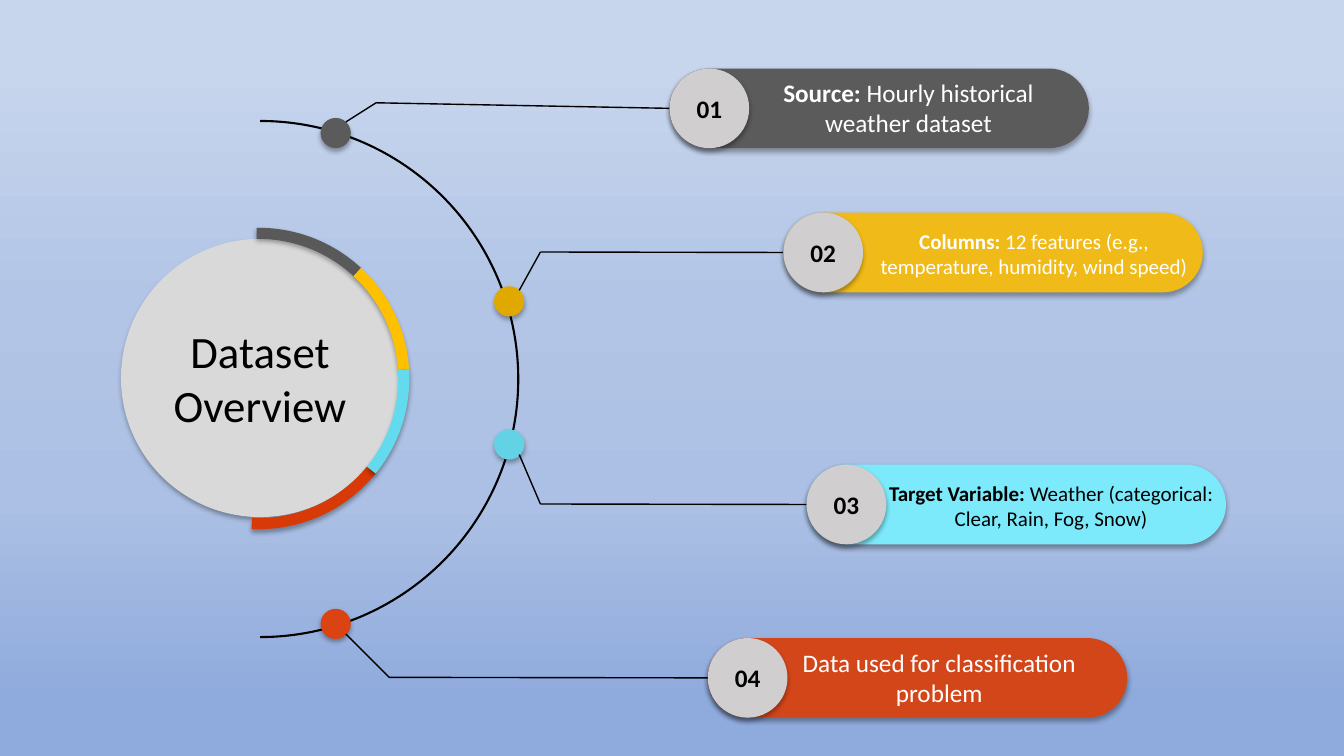
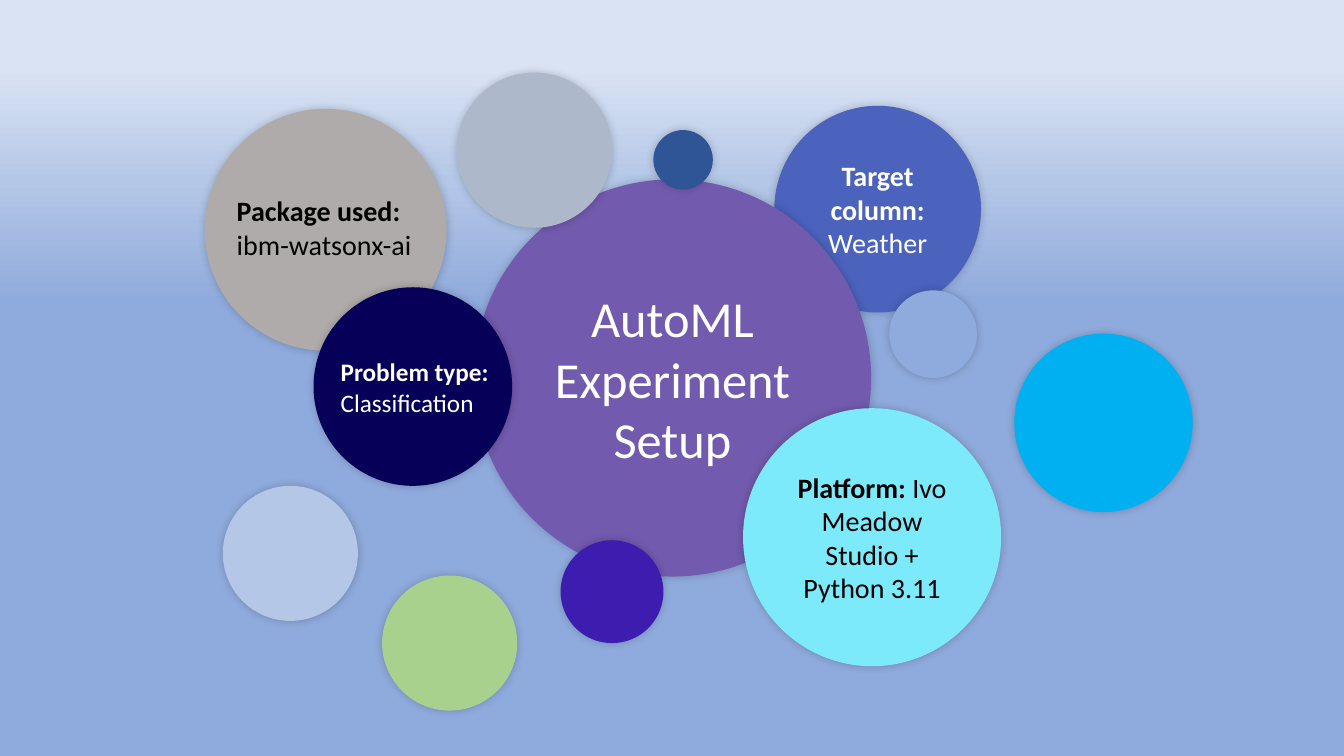
from dataclasses import dataclass
from typing import Any, Optional

from lxml import etree
from pptx import Presentation
from pptx.dml.color import RGBColor
from pptx.enum.shapes import MSO_CONNECTOR, MSO_SHAPE
from pptx.enum.text import MSO_ANCHOR, MSO_AUTO_SIZE, PP_ALIGN
from pptx.oxml.ns import qn
from pptx.util import Inches, Pt

OVAL = MSO_SHAPE.OVAL
PILL = MSO_SHAPE.ROUNDED_RECTANGLE
ARC = MSO_SHAPE.ARC
BLOCK_ARC = MSO_SHAPE.BLOCK_ARC
STRAIGHT = MSO_CONNECTOR.STRAIGHT
CENTER, LEFT = PP_ALIGN.CENTER, PP_ALIGN.LEFT
MIDDLE, TOP = MSO_ANCHOR.MIDDLE, MSO_ANCHOR.TOP
GROW = MSO_AUTO_SIZE.SHAPE_TO_FIT_TEXT
LEFT_SIDE = 1
ANGLE_UNIT = 60000
ARC_DEGREE = 0.6  # one degree, as an adjustment value


@dataclass(frozen=True)
class Shadow:
    opacity: int
    blur: float
    distance: float
    direction: int


@dataclass(frozen=True)
class Theme:
    font: str = "Calibri"
    black: str = "000000"
    white: str = "FFFFFF"
    hub: str = "D9D9D9"
    badge: str = "D0CECE"
    aqua: str = "7CEAFB"
    periwinkle: str = "8FAADC"
    mist: str = "B4C7E7"
    title: int = 36
    hub_title: int = 32
    large: int = 20
    body: int = 18
    small: int = 15
    drop: Shadow = Shadow(32, 3.5, 2.2, 90)
    halo: Shadow = Shadow(20, 6, 0, 225)


THEME = Theme()


@dataclass(frozen=True)
class Label:
    text: str
    lead: str = ""  # bold opening words
    size: int = THEME.body
    color: str = THEME.white


@dataclass(frozen=True)
class Box:
    left: float
    top: float
    width: float
    height: float

    def lengths(self) -> tuple:
        return tuple(Inches(n) for n in (self.left, self.top, self.width, self.height))


@dataclass(frozen=True)
class Branch:
    left: float
    top: float
    fill: str
    dot_left: float
    dot_top: float
    dot_fill: str
    leader: tuple  # start and bend of the line to the bar
    label_box: Box
    label: Label


@dataclass(frozen=True)
class Bubble:
    left: float
    top: float
    size: float
    fill: str
    label: Optional[Label] = None
    label_box: Optional[Box] = None


BRANCHES = (
    Branch(6.64, 0.68, "5B5B5B", 3.18, 1.17, "5B5B5B", ((3.43, 1.21), (3.73, 1.02)),
           Box(7.47, 0.72, 3.08, 0.71),
           Label(" Hourly historical weather dataset", "Source:")),
    Branch(7.77, 2.11, "F0BB18", 4.9, 2.84, "E0A900", ((5.15, 2.88), (5.36, 2.5)),
           Box(8.56, 2.22, 3.39, 0.61),
           Label(" 12 features (e.g., temperature, humidity, wind speed)", "Columns:",
                 THEME.small)),
    Branch(8, 4.61, THEME.aqua, 4.9, 4.26, "62D2E4", ((5.15, 4.51), (5.36, 5)),
           Box(8.66, 4.72, 3.53, 0.61),
           Label("Weather (categorical: Clear, Rain, Fog, Snow)", "Target Variable: ",
                 THEME.small, THEME.black)),
    Branch(7.02, 6.33, "D3461A", 3.18, 6.04, "DC4313", ((3.43, 6.29), (3.86, 6.72)),
           Box(7.82, 6.37, 2.99, 0.71),
           Label("Data used for classification problem")),
)

# Start angle, end angle and colour of each part of the hub's rim
RIM = (
    (269.2, 312.8, "595959"),
    (312.8, 356.5, "FFC000"),
    (38.6, 92.7, "D73907"),
    (356.5, 39.1, "64DAEE"),
)

BUBBLES = (
    Bubble(7.68, 1.05, 2.05, "4B63BD", Label("Weather", "Target column: ", THEME.large)),
    Bubble(4.7, 1.78, 3.94, "725AAE", Label("AutoML Experiment Setup", size=THEME.title)),
    Bubble(4.53, 0.72, 1.54, "ADB9CA"),
    Bubble(7.37, 4.05, 2.56, THEME.aqua,
           Label("Ivo Meadow Studio + Python 3.11", "Platform: ", THEME.large, THEME.black)),
    Bubble(5.56, 5.36, 1.02, "3C1DAF"),
    Bubble(10.06, 3.31, 1.77, "00B0F0"),
    Bubble(3.79, 5.71, 1.34, "A9D18E"),
    Bubble(2.21, 4.82, 1.34, THEME.mist),
    Bubble(6.48, 1.29, 0.59, "2F5597"),
    Bubble(8.82, 2.88, 0.87, THEME.periwinkle),
    Bubble(2.03, 1.08, 2.4, "AFABAB",
           Label("ibm-watsonx-ai", "Package used: ", THEME.large, THEME.black),
           Box(2.25, 1.87, 1.97, 0.77)),
    Bubble(3.11, 2.85, 1.97, "060058", Label("Classification", "Problem type: "),
           Box(3.28, 3.49, 1.68, 0.71)),
)


def add_color(parent: Any, color: str) -> Any:
    return etree.SubElement(parent, qn("a:srgbClr"), val=color)


def set_background(slide: Any, stops: tuple) -> None:
    """Fill the slide with a gradient running from top to bottom."""
    slide.background.fill.solid()
    properties = slide.element.find(f".//{qn('p:bgPr')}")
    properties.remove(properties[0])
    gradient = etree.Element(qn("a:gradFill"), rotWithShape="1")
    properties.insert(0, gradient)
    stop_list = etree.SubElement(gradient, qn("a:gsLst"))
    for percent, color in stops:
        add_color(etree.SubElement(stop_list, qn("a:gs"), pos=str(percent * 1000)), color)
    etree.SubElement(gradient, qn("a:lin"), ang=str(90 * ANGLE_UNIT), scaled="0")


def cast_shadow(shape: Any, shadow: Shadow) -> None:
    shape.shadow.inherit = False
    effects = shape.element.spPr.find(qn("a:effectLst"))
    outer = etree.SubElement(
        effects, qn("a:outerShdw"), blurRad=str(Pt(shadow.blur)), dist=str(Pt(shadow.distance)),
        dir=str(shadow.direction * ANGLE_UNIT), algn="ctr", rotWithShape="0")
    etree.SubElement(add_color(outer, THEME.black), qn("a:alpha"),
                     val=str(shadow.opacity * 1000))


def add_filled(slide: Any, kind: Any, box: Box, fill: str, shadow: Shadow,
               adjustments: tuple = ()) -> Any:
    shape = slide.shapes.add_shape(kind, *box.lengths())
    for index, value in enumerate(adjustments):
        shape.adjustments[index] = value
    shape.fill.solid()
    shape.fill.fore_color.rgb = RGBColor.from_string(fill)
    shape.line.fill.background()
    cast_shadow(shape, shadow)
    return shape


def write(shape: Any, text: str, *, lead: str = "", size: int = THEME.body,
          color: str = THEME.white, align: Any = CENTER, anchor: Any = MIDDLE) -> None:
    """Put one paragraph in the shape, its lead in bold."""
    frame = shape.text_frame
    frame.word_wrap = True
    frame.vertical_anchor = anchor
    paragraph = frame.paragraphs[0]
    paragraph.alignment = align
    for words, bold in ((lead, True), (text, False)):
        if words:
            run = paragraph.add_run()
            run.text = words
            run.font.name = THEME.font
            run.font.size = Pt(size)
            run.font.bold = bold
            run.font.color.rgb = RGBColor.from_string(color)


def write_label(shape: Any, label: Label, **placing: Any) -> None:
    write(shape, label.text, lead=label.lead, size=label.size, color=label.color, **placing)


def add_label_box(slide: Any, box: Box, label: Label, align: Any) -> None:
    text_box = slide.shapes.add_textbox(*box.lengths())
    write_label(text_box, label, align=align, anchor=TOP)
    text_box.text_frame.auto_size = GROW


def add_line(slide: Any, start: tuple, end: tuple) -> Any:
    points = (Inches(n) for n in (*start, *end))
    connector = slide.shapes.add_connector(STRAIGHT, *points)
    connector.line.color.rgb = RGBColor.from_string(THEME.black)
    connector.line.width = Pt(1)
    etree.SubElement(connector.element.spPr, qn("a:effectLst"))
    return connector


def add_branch(slide: Any, number: int, branch: Branch) -> None:
    bar_width, bar_height, dot_size = 4.16, 0.79, 0.3
    add_filled(slide, OVAL, Box(branch.dot_left, branch.dot_top, dot_size, dot_size),
               branch.dot_fill, THEME.drop)
    bar = add_filled(slide, PILL, Box(branch.left, branch.top, bar_width, bar_height),
                     branch.fill, THEME.drop, (0.5,))
    # Leader line with one bend, joined to the bar
    start, bend = branch.leader
    add_line(slide, start, bend)
    arm = add_line(slide, bend, (branch.left, branch.top + bar_height / 2))
    arm.end_connect(bar, LEFT_SIDE)
    # Number and label
    badge = add_filled(slide, OVAL, Box(branch.left, branch.top, bar_height, bar_height),
                       THEME.badge, THEME.drop)
    write(badge, "", lead=f"{number:02}", color=THEME.black)
    add_label_box(slide, branch.label_box, branch.label, CENTER)


def build_overview(slide: Any) -> None:
    set_background(slide, ((9, "C7D5ED"), (40, "B2C5E6"), (66, "ABC0E4"),
                           (93, THEME.periwinkle)))
    # Hub and its coloured rim
    hub = add_filled(slide, OVAL, Box(1.2, 2.37, 2.76, 2.76), THEME.hub, THEME.drop)
    write(hub, "Dataset Overview", size=THEME.hub_title, color=THEME.black)
    rim_size, rim_width = 2.99, 0.11
    for start, end, color in RIM:
        add_filled(slide, BLOCK_ARC, Box(1.07, 2.26, rim_size, rim_size), color, THEME.drop,
                   (start * ARC_DEGREE, end * ARC_DEGREE, rim_width / rim_size))
    # Orbit: the right half of a circle
    orbit = slide.shapes.add_shape(ARC, *Box(0.02, 1.2, 5.12, 5.12).lengths())
    orbit.adjustments[0] = 270 * ARC_DEGREE
    orbit.adjustments[1] = 90 * ARC_DEGREE
    orbit.fill.background()
    orbit.line.color.rgb = RGBColor.from_string(THEME.black)
    orbit.line.width = Pt(1.5)
    orbit.shadow.inherit = False
    # Branches
    for number, branch in enumerate(BRANCHES, start=1):
        add_branch(slide, number, branch)


def build_setup(slide: Any) -> None:
    set_background(slide, ((9, "DAE3F3"), (24, THEME.mist), (40, THEME.periwinkle)))
    for bubble in BUBBLES:
        shape = add_filled(slide, OVAL, Box(bubble.left, bubble.top, bubble.size, bubble.size),
                           bubble.fill, THEME.halo)
        if bubble.label and not bubble.label_box:
            write_label(shape, bubble.label)
    # Labels set in their own boxes, above every bubble
    for bubble in BUBBLES:
        if bubble.label and bubble.label_box:
            add_label_box(slide, bubble.label_box, bubble.label, LEFT)


def main() -> None:
    presentation = Presentation()
    presentation.slide_width = Inches(13.33)
    presentation.slide_height = Inches(7.5)
    blank = presentation.slide_layouts[6]
    for build in (build_overview, build_setup):
        build(presentation.slides.add_slide(blank))
    presentation.save("out.pptx")


if __name__ == "__main__":
    main()
